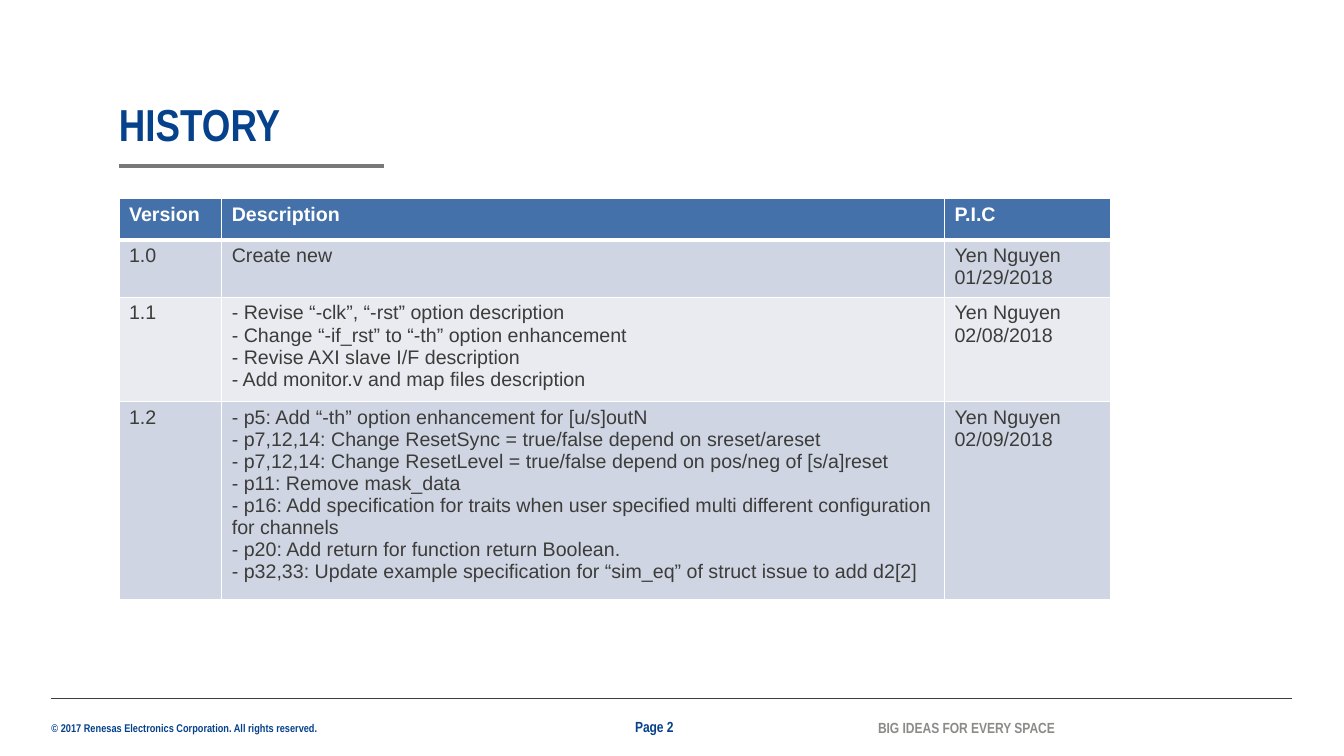
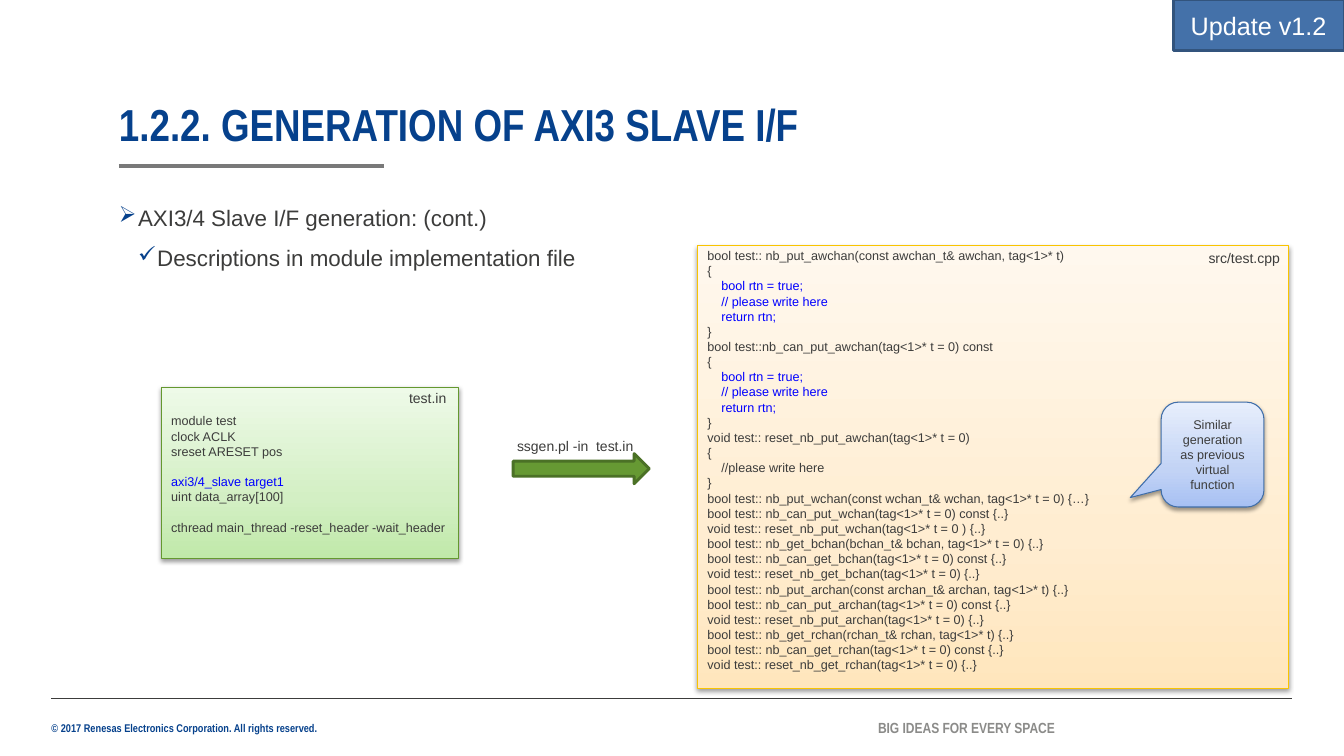
from copy import deepcopy

from lxml import etree
from pptx import Presentation
from pptx.dml.color import RGBColor
from pptx.enum.shapes import MSO_CONNECTOR, MSO_SHAPE
from pptx.enum.text import MSO_ANCHOR, MSO_AUTO_SIZE, PP_ALIGN
from pptx.oxml.ns import qn
from pptx.util import Inches, Pt

WIDTH, HEIGHT = Inches(13.33), Inches(7.5)
TITLE_ONLY = 5
STRAIGHT = MSO_CONNECTOR.STRAIGHT
RECTANGLE = MSO_SHAPE.RECTANGLE
RIGHT_ARROW = MSO_SHAPE.RIGHT_ARROW
CALLOUT = MSO_SHAPE.ROUNDED_RECTANGULAR_CALLOUT
TOP, MIDDLE, BOTTOM = MSO_ANCHOR.TOP, MSO_ANCHOR.MIDDLE, MSO_ANCHOR.BOTTOM
LEFT, CENTER = PP_ALIGN.LEFT, PP_ALIGN.CENTER
NO_AUTOFIT = MSO_AUTO_SIZE.NONE

HEAD_FONT, BODY_FONT = "Arial Narrow", "Arial"
NAVY = RGBColor(0x06, 0x41, 0x8C)
INK = RGBColor(0x3C, 0x3C, 0x3B)
RULE_GRAY = RGBColor(0x79, 0x79, 0x79)
SLOGAN_GRAY = RGBColor(0x8B, 0x8B, 0x89)
WHITE = RGBColor(0xFF, 0xFF, 0xFF)
CODE_BLUE = RGBColor(0x00, 0x00, 0xFF)
STEEL = RGBColor(0x44, 0x71, 0xA9)
STEEL_EDGE = RGBColor(0x32, 0x54, 0x7D)
BAND_DARK = RGBColor(0xCF, 0xD5, 0xE2)
BAND_LIGHT = RGBColor(0xE9, 0xEB, 0xF1)
ARROW_GREEN = RGBColor(0x66, 0x99, 0x33)
ARROW_EDGE = RGBColor(0x4B, 0x71, 0x26)
GREEN_EDGE = RGBColor(0x64, 0x98, 0x2F)
GOLD_EDGE = RGBColor(0xF9, 0xC4, 0x00)
BLUE_EDGE = RGBColor(0x40, 0x6E, 0xA8)
ORANGES = (RGBColor(0xFF, 0xE6, 0xBD), RGBColor(0xFF, 0xED, 0xD1), RGBColor(0xFF, 0xF8, 0xEE))
GREENS = (RGBColor(0xC0, 0xE9, 0xA9), RGBColor(0xD3, 0xEF, 0xC4), RGBColor(0xEE, 0xFA, 0xE8))
BLUES = (RGBColor(0xA7, 0xC0, 0xF3), RGBColor(0xC2, 0xD3, 0xF5), RGBColor(0xE7, 0xEE, 0xFC))

MARGIN, INDENT, CONTENT_TOP = 3.83, 8.85, 26.27
CODE_LINE = Pt(11)

HISTORY = (
    ("Version", "Description", "P.I.C"),
    ("1.0", "Create new", "Yen Nguyen\n01/29/2018"),
    ("1.1", """- Revise “-clk”, “-rst” option description
- Change “-if_rst” to “-th” option enhancement
- Revise AXI slave I/F description
- Add monitor.v and map files description""", "Yen Nguyen\n02/08/2018"),
    ("1.2", """- p5: Add “-th” option enhancement for [u/s]outN
- p7,12,14: Change ResetSync = true/false depend on sreset/areset
- p7,12,14: Change ResetLevel = true/false depend on pos/neg of [s/a]reset
- p11: Remove mask_data
- p16: Add specification for traits when user specified multi different configuration for channels
- p20: Add return for function return Boolean.
- p32,33: Update example specification for “sim_eq” of struct issue to add d2[2]""",
     "Yen Nguyen\n02/09/2018"),
)
HISTORY_COLUMNS = (7.65, 53.78, 12.38)
HISTORY_ROWS = (5.47, 7.47, 13.73, 26.27)

MODULE_INPUT = (
    "module test",
    "clock ACLK",
    "sreset ARESET pos",
    "",
    "axi3/4_slave target1",
    "uint data_array[100]",
    "",
    "cthread main_thread -reset_header -wait_header",
)
STUB_BODY = (
    "{",
    "    bool rtn = true;",
    "    // please write here",
    "    return rtn;",
    "}",
)
IMPLEMENTATION = (
    "bool test:: nb_put_awchan(const awchan_t& awchan, tag<1>* t)",
    *STUB_BODY,
    "bool test::nb_can_put_awchan(tag<1>* t = 0) const",
    *STUB_BODY,
    "void test:: reset_nb_put_awchan(tag<1>* t = 0)",
    "{",
    "    //please write here",
    "}",
    "bool test:: nb_put_wchan(const wchan_t& wchan, tag<1>* t = 0) {…}",
    "bool test:: nb_can_put_wchan(tag<1>* t = 0) const {..}",
    "void test:: reset_nb_put_wchan(tag<1>* t = 0 ) {..}",
    "bool test:: nb_get_bchan(bchan_t& bchan, tag<1>* t = 0) {..}",
    "bool test:: nb_can_get_bchan(tag<1>* t = 0) const {..}",
    "void test:: reset_nb_get_bchan(tag<1>* t = 0) {..}",
    "bool test:: nb_put_archan(const archan_t& archan, tag<1>* t) {..}",
    "bool test:: nb_can_put_archan(tag<1>* t = 0) const {..}",
    "void test:: reset_nb_put_archan(tag<1>* t = 0) {..}",
    "bool test:: nb_get_rchan(rchan_t& rchan, tag<1>* t) {..}",
    "bool test:: nb_can_get_rchan(tag<1>* t = 0) const {..}",
    "void test:: reset_nb_get_rchan(tag<1>* t = 0) {..}",
)
HIGHLIGHTS = {*STUB_BODY[1:-1], "axi3/4_slave target1"}


def across(percent):
    return round(WIDTH * percent / 100)


def down(percent):
    return round(HEIGHT * percent / 100)


def area(left, top, width, height):
    return across(left), down(top), across(width), down(height)


def style(para, size, color, name=BODY_FONT, bold=False, align=LEFT):
    para.alignment = align
    font = para.font
    font.size, font.name, font.bold = Pt(size), name, bold
    font.color.rgb = color


def write(frame, text, size, color, anchor=TOP, **looks):
    frame.word_wrap = True
    frame.vertical_anchor = anchor
    frame.text = text
    for para in frame.paragraphs:
        style(para, size, color, **looks)


def clear_margins(frame):
    frame.margin_left = frame.margin_top = frame.margin_right = frame.margin_bottom = 0


def add_label(slide, place, text, size=10, color=INK, flush=False, **looks):
    frame = slide.shapes.add_textbox(*area(*place)).text_frame
    if flush:
        clear_margins(frame)
    write(frame, text, size, color, **looks)


def add_rule(slide, left, right, top, color, weight):
    rule = slide.shapes.add_connector(
        STRAIGHT, across(left), down(top), across(right), down(top))
    rule.line.color.rgb = color
    rule.line.width = Pt(weight)
    etree.SubElement(rule._element.spPr, qn("a:effectLst"))


def add_figure(slide, kind, place, edge, weight, fill=None):
    figure = slide.shapes.add_shape(kind, *area(*place))
    figure.shadow.inherit = False
    figure.line.color.rgb = edge
    figure.line.width = Pt(weight)
    if fill is not None:
        figure.fill.solid()
        figure.fill.fore_color.rgb = fill
    return figure


def add_panel(slide, kind, place, edge, shades):
    panel = add_figure(slide, kind, place, edge, 0.75)
    panel.fill.gradient()
    panel.fill.gradient_angle = 90
    properties = panel._element.spPr
    stops = properties.find(qn("a:gradFill")).find(qn("a:gsLst"))
    stops.append(deepcopy(stops[0]))
    for stop, position, shade in zip(panel.fill.gradient_stops, (0, 0.35, 1), shades):
        stop.position = position
        stop.color.rgb = shade
    shadow = etree.SubElement(
        properties.find(qn("a:effectLst")), qn("a:outerShdw"),
        blurRad=str(Pt(3.1)), dist=str(Pt(1.6)), dir="5400000", rotWithShape="0")
    black = etree.SubElement(shadow, qn("a:srgbClr"), val="000000")
    etree.SubElement(black, qn("a:alpha"), val="38000")
    return panel


def add_code(slide, place, edge, shades, lines, top_margin):
    frame = add_panel(slide, RECTANGLE, place, edge, shades).text_frame
    frame.word_wrap = True
    frame.vertical_anchor = TOP
    frame.margin_top, frame.margin_bottom = Inches(top_margin), 0
    para, gap = frame.paragraphs[0], False
    for line in lines:
        if not line:
            gap = True
            continue
        if para.text:
            para = frame.add_paragraph()
        para.text = line
        style(para, 9, CODE_BLUE if line in HIGHLIGHTS else INK)
        if gap:
            para.space_before = CODE_LINE
        gap = False


def add_bullets(slide, place, bullets):
    frame = slide.shapes.add_textbox(*area(*place)).text_frame
    clear_margins(frame)
    write(frame, "\n".join(text for _, text in bullets), 16, INK)
    for level, (para, (mark, _)) in enumerate(zip(frame.paragraphs, bullets), 1):
        para.line_spacing = 1.2
        para.space_after = Pt(6)
        properties = para._p.get_or_add_pPr()
        properties.set("marL", str(Inches(0.19 * level)))
        properties.set("indent", str(-Inches(0.19)))
        tint = etree.Element(qn("a:buClr"))
        etree.SubElement(tint, qn("a:srgbClr"), val=str(NAVY))
        symbol = etree.Element(qn("a:buChar"), char=mark)
        default = properties.find(qn("a:defRPr"))
        default.addprevious(tint)
        default.addprevious(symbol)


def add_borders(cell, bottom):
    properties = cell._tc.get_or_add_tcPr()
    for side, weight in (("lnL", 1), ("lnR", 1), ("lnT", 1), ("lnB", bottom)):
        line = etree.SubElement(properties, qn("a:" + side), w=str(Pt(weight)))
        paint = etree.SubElement(line, qn("a:solidFill"))
        etree.SubElement(paint, qn("a:srgbClr"), val=str(WHITE))


def add_history(slide):
    place = area(INDENT, CONTENT_TOP, sum(HISTORY_COLUMNS), sum(HISTORY_ROWS))
    table = slide.shapes.add_table(len(HISTORY), len(HISTORY_COLUMNS), *place).table
    for column, share in zip(table.columns, HISTORY_COLUMNS):
        column.width = across(share)
    for index, (row, share, texts) in enumerate(zip(table.rows, HISTORY_ROWS, HISTORY)):
        row.height = down(share)
        header = index == 0
        band = STEEL if header else BAND_DARK if index % 2 else BAND_LIGHT
        for cell, text in zip(row.cells, texts):
            add_borders(cell, 3 if header else 1)
            cell.fill.solid()
            cell.fill.fore_color.rgb = band
            cell.text = text
            for para in cell.text_frame.paragraphs:
                style(para, 14, WHITE if header else INK, bold=header)


def add_page(deck, title):
    slide = deck.slides.add_slide(deck.slide_layouts[TITLE_ONLY])
    heading = slide.shapes.title
    heading.left, heading.top, heading.width, heading.height = area(INDENT, 13.6, 86.55, 6.4)
    frame = heading.text_frame
    clear_margins(frame)
    frame.auto_size = NO_AUTOFIT
    write(frame, title, 32, NAVY, BOTTOM, name=HEAD_FONT, bold=True)
    frame.paragraphs[0].line_spacing = 0.9
    add_rule(slide, INDENT, 28.58, 22, RULE_GRAY, 3)
    add_rule(slide, MARGIN, 96.15, 92.4, INK, 0.5)
    add_label(slide, (MARGIN, 95.47, 25, 1.73),
              "© 2017 Renesas Electronics Corporation. All rights reserved.",
              8, NAVY, flush=True, name=HEAD_FONT, bold=True)
    add_label(slide, (65.33, 95.07, 13.5, 2.4), "BIG IDEAS FOR EVERY SPACE",
              10.5, SLOGAN_GRAY, flush=True, anchor=MIDDLE, name=HEAD_FONT, bold=True)
    return slide


def build_history(deck):
    slide = add_page(deck, "HISTORY")
    add_label(slide, (47.25, 94.93, 5.48, 2.4), "Page 2", 10.5, NAVY,
              flush=True, anchor=MIDDLE, name=HEAD_FONT, bold=True)
    add_history(slide)


def build_generation(deck):
    slide = add_page(deck, "1.2.2. GENERATION OF AXI3 SLAVE I/F")
    add_bullets(slide, (INDENT, CONTENT_TOP, 42, 9.73), (
        ("➢", "AXI3/4 Slave I/F generation: (cont.)"),
        ("✓", "Descriptions in module implementation file")))
    add_code(slide, (51.9, 32.53, 43.95, 58.53), GOLD_EDGE, ORANGES, IMPLEMENTATION, 0.02)
    add_code(slide, (12, 51.2, 22.13, 22.67), GREEN_EDGE, GREENS, MODULE_INPUT, 0.26)
    add_label(slide, (29.7, 50.93, 10.13, 3.6), "test.in")
    add_figure(slide, RIGHT_ARROW, (38.18, 60, 10.13, 4), ARROW_EDGE, 2, ARROW_GREEN)
    add_label(slide, (37.73, 57.2, 10.5, 3.6), "ssgen.pl -in  test.in")
    callout = add_panel(slide, CALLOUT, (86.4, 53.2, 7.65, 13.87), BLUE_EDGE, BLUES)
    callout.adjustments[0], callout.adjustments[1] = -0.8, 0.41
    write(callout.text_frame, "Similar generation as previous virtual function",
          9, INK, MIDDLE, align=CENTER)
    tag = add_figure(slide, RECTANGLE, (87.3, 0, 12.7, 6.67), STEEL_EDGE, 2, STEEL)
    write(tag.text_frame, "Update v1.2", 18, WHITE, MIDDLE, align=CENTER)
    add_label(slide, (89.18, 32.4, 10.82, 3.6), "src/test.cpp")


def main():
    deck = Presentation()
    deck.slide_width, deck.slide_height = WIDTH, HEIGHT
    build_history(deck)
    build_generation(deck)
    deck.save("out.pptx")


if __name__ == "__main__":
    main()
